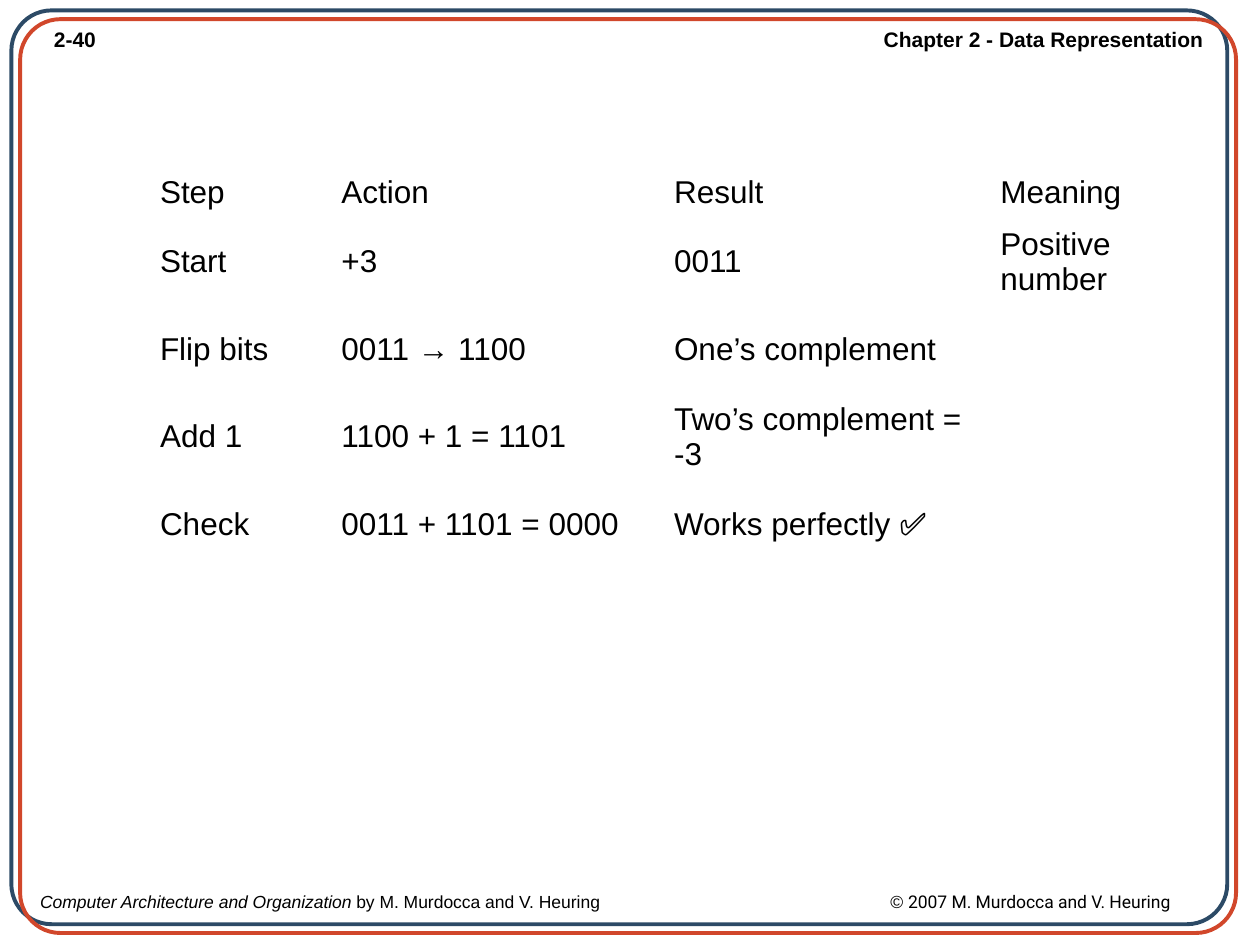
from lxml.etree import SubElement
from pptx import Presentation
from pptx.dml.color import RGBColor
from pptx.enum.shapes import MSO_SHAPE
from pptx.enum.text import MSO_ANCHOR, MSO_AUTO_SIZE, PP_ALIGN
from pptx.oxml.ns import qn
from pptx.util import Inches, Pt

HUES = {"ink": "000000", "blue": "2C4A66", "red": "D1472B"}
WIDE, HIGH = 10, 7.5
COLS = (1.44, 2.64, 2.59, 1.83)
ROWS = (0.4, 0.7, 0.69, 0.7, 0.69)
STEPS = (
    ("Step", "Action", "Result", "Meaning"),
    ("Start", "+3", "0011", "Positive number"),
    ("Flip bits", "0011 → 1100", "One’s complement", ""),
    ("Add 1", "1100 + 1 = 1101", "Two’s complement = -3", ""),
    ("Check", "0011 + 1101 = 0000", "Works perfectly ✅", ""),
)


def hue(name):
    return RGBColor.from_string(HUES[name])


def style(font, size, bold=False, slant=False, face="Arial"):
    font.name, font.size = face, Pt(size)
    font.bold, font.italic = bold, slant
    font.color.rgb = hue("ink")


def add_text(slide, box, wrap=True):
    """Add an empty text box and return its first paragraph."""
    frame = slide.shapes.add_textbox(*map(Inches, box)).text_frame
    frame.word_wrap = wrap
    frame.auto_size = MSO_AUTO_SIZE.SHAPE_TO_FIT_TEXT
    return frame.paragraphs[0]


def add_head(slide, box):
    """Put the page number at the left and the chapter at the right."""
    left, top, width, height = box
    page = add_text(slide, (left, top, 0.06 * width, height))
    page.text = "2-40"
    span = 0.294 * width
    title = add_text(slide, (left + width - span, top, span, height), False)
    title.text = "Chapter 2 - Data Representation"
    title.alignment = PP_ALIGN.RIGHT
    for para in (page, title):
        style(para.runs[0].font, 12, bold=True)


def add_foot(slide, box):
    para = add_text(slide, box)
    tabs = SubElement(para._p.get_or_add_pPr(), qn("a:tabLst"))
    stop = Inches(0.69 * box[2])
    SubElement(tabs, qn("a:tab"), pos=str(stop), algn="l")
    parts = (
        ("Computer Architecture and Organization ", True, "Arial"),
        ("by M. Murdocca and V. Heuring\t© ", False, "Arial"),
        ("2007 M. Murdocca and V. Heuring", False, "Roboto"),
    )
    for words, slant, face in parts:
        run = para.add_run()
        run.text = words
        style(run.font, 10, slant=slant, face=face)


def add_frame(slide, box):
    """Draw two rounded outlines, the second shifted down and right."""
    left, top, width, height = box
    for i, name in enumerate(("blue", "red")):
        shift = 0.07 * i
        spot = (left + shift, top + shift, width, height)
        ring = slide.shapes.add_shape(
            MSO_SHAPE.ROUNDED_RECTANGLE, *map(Inches, spot))
        ring.adjustments[0] = 0.044
        ring.shadow.inherit = False
        ring.fill.background()
        ring.line.color.rgb = hue(name)
        ring.line.width = Pt(2.25)


def add_steps(slide, box):
    grid = slide.shapes.add_table(
        len(ROWS), len(COLS), *map(Inches, box)).table
    grid.first_row = grid.horz_banding = False
    for col, width in zip(grid.columns, COLS):
        col.width = Inches(width)
    for row, height, words in zip(grid.rows, ROWS, STEPS):
        row.height = Inches(height)
        for cell, word in zip(row.cells, words):
            cell.fill.background()
            cell.vertical_anchor = MSO_ANCHOR.MIDDLE
            para = cell.text_frame.paragraphs[0]
            para.text = word
            for run in para.runs:
                style(run.font, 18)


def main():
    deck = Presentation()
    deck.slide_width, deck.slide_height = Inches(WIDE), Inches(HIGH)
    slide = deck.slides.add_slide(deck.slide_layouts[6])
    add_head(slide, (0.033 * WIDE, 0.022 * HIGH, 0.932 * WIDE, 0.04 * HIGH))
    add_foot(slide, (0.022 * WIDE, 0.936 * HIGH, 0.978 * WIDE, 0.035 * HIGH))
    add_frame(slide, (0.009 * WIDE, 0.011 * HIGH, 0.965 * WIDE, 0.967 * HIGH))
    add_steps(slide, (0.117 * WIDE, 0.177 * HIGH, sum(COLS), sum(ROWS)))
    deck.save("out.pptx")


if __name__ == "__main__":
    main()
